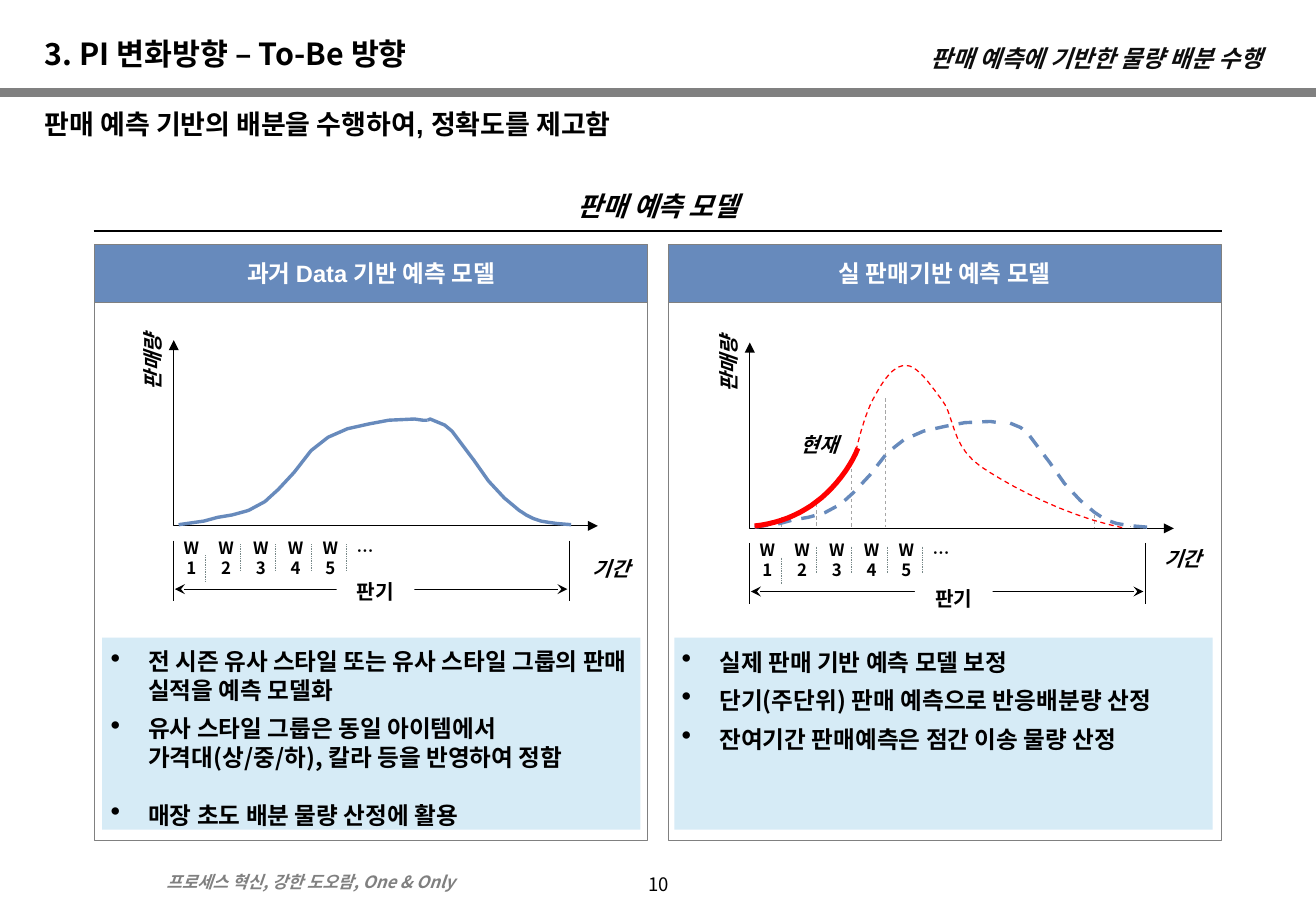
from lxml.etree import SubElement
from pptx import Presentation
from pptx.dml.color import RGBColor
from pptx.enum.dml import MSO_LINE
from pptx.enum.shapes import MSO_CONNECTOR, MSO_SHAPE
from pptx.enum.text import MSO_ANCHOR, PP_ALIGN
from pptx.oxml.ns import qn
from pptx.util import Inches, Pt

NOTO = "Noto Sans CJK KR"
HEX = {"black": "000000", "white": "FFFFFF", "gray": "808080", "blue": "678ABC",
       "pale": "D6EBF6", "red": "FF0000", "guide": "A6A6A6", "slate": "778888",
       "ink": "0D0D0D"}
LEFT, MID, RIGHT = PP_ALIGN.LEFT, PP_ALIGN.CENTER, PP_ALIGN.RIGHT

# Curves: inches right of and above the corner of the axes
RISE = [(.04, .01), (.25, .04), (.36, .07), (.48, .09), (.59, .12), (.62, .13),
        (.75, .2), (.86, .3), (.99, .44), (1.13, .62), (1.27, .73), (1.43, .8),
        (1.61, .84), (1.77, .87), (1.98, .88), (2.05, .87), (2.09, .87)]
FALL = [(3.27, .01), (3.15, .02), (3.08, .03), (3.02, .04), (2.96, .06),
        (2.9, .09), (2.84, .13), (2.72, .23), (2.59, .37), (2.47, .54),
        (2.41, .62), (2.35, .7), (2.29, .78), (2.23, .83), (2.11, .88), (2.09, .87)]
# Bezier points: a start, then two controls and an end for each part
ACTUAL = [(.04, .02), (.23, .04), (.41, .11), (.55, .22), (.69, .32), (.84, .52),
          (.89, .66)]
OUTLOOK = [(.86, .57), (.9, .76), (.96, .97), (1.03, 1.09), (1.1, 1.22),
           (1.19, 1.35), (1.29, 1.34), (1.38, 1.34), (1.48, 1.19), (1.58, 1.06),
           (1.69, .92), (1.65, .69), (1.9, .51), (2.15, .34), (2.63, .09), (3.09, 0)]
GUIDES = [(.26, .09), (.55, .2), (.84, .49), (1.12, 1.07), (2.84, .11), (3.13, .02)]


def color(name):
    return RGBColor.from_string(HEX[name])


def pen(shape, tint, width, dash=None, tip=None):
    shape.line.color.rgb = color(tint)
    shape.line.width = Pt(width)
    if dash:
        shape.line.dash_style = dash
    if tip:
        ln = shape._element.spPr.find(qn("a:ln"))
        for end in ("a:headEnd", "a:tailEnd"):
            SubElement(ln, qn(end), type=tip)


def style(par, size, tint="black", italic=False, face=NOTO, align=LEFT):
    par.alignment = align
    font = par.font
    font.size, font.bold, font.italic = Pt(size), True, italic
    font.color.rgb = color(tint)
    font.name = face
    SubElement(par._p.pPr.find(qn("a:defRPr")), qn("a:ea"), typeface=NOTO)


def inset(frame, side, top):
    frame.margin_left = frame.margin_right = Inches(side)
    frame.margin_top = frame.margin_bottom = Inches(top)


def label(slide, text, box, size, pad=(.05, .05), wrap=False,
          anchor=MSO_ANCHOR.TOP, **look):
    shape = slide.shapes.add_textbox(*map(Inches, box))
    frame = shape.text_frame
    frame.word_wrap = wrap
    frame.vertical_anchor = anchor
    inset(frame, *pad)
    frame.text = text
    for par in frame.paragraphs:
        style(par, size, **look)
    return shape


def block(slide, box, fill=None, edge=None, text="", size=14, **look):
    shape = slide.shapes.add_shape(MSO_SHAPE.RECTANGLE, *map(Inches, box))
    shape.shadow.inherit = False
    if fill:
        shape.fill.solid()
        shape.fill.fore_color.rgb = color(fill)
    else:
        shape.fill.background()
    if edge:
        pen(shape, edge, .5)
    else:
        shape.line.fill.background()
    if text:
        frame = shape.text_frame
        frame.vertical_anchor = MSO_ANCHOR.MIDDLE
        inset(frame, .05, 0)
        frame.text = text
        style(frame.paragraphs[0], size, align=MID, **look)


def rule(slide, x1, y1, x2, y2, *ink):
    line = slide.shapes.add_connector(
        MSO_CONNECTOR.STRAIGHT, *map(Inches, (x1, y1, x2, y2)))
    SubElement(line._element.spPr, qn("a:effectLst"))
    pen(line, *ink)


def trace(slide, x, y, points, *ink):
    # Draw an open outline whose points are measured from the corner (x, y)
    spots = [(1000 * a, -1000 * b) for a, b in points]
    path = slide.shapes.build_freeform(*spots[0], scale=Inches(1) / 1000)
    path.add_line_segments(spots[1:], close=False)
    shape = path.convert_to_shape(Inches(x), Inches(y))
    shape.fill.background()
    shape.shadow.inherit = False
    pen(shape, *ink)


def bend(points, steps=10):
    # Turn a chain of cubic Bezier parts into short straight steps
    out = [points[0]]
    for i in range(0, len(points) - 1, 3):
        part = points[i:i + 4]
        for k in range(1, steps + 1):
            t = k / steps
            rate = ((1 - t) ** 3, 3 * t * (1 - t) ** 2, 3 * t * t * (1 - t), t ** 3)
            out.append(tuple(sum(r * p[n] for r, p in zip(rate, part))
                             for n in (0, 1)))
    return out


def bullets(slide, lines, x, y, high):
    shape = slide.shapes.add_textbox(*map(Inches, (x, y, 4.49, high)))
    frame = shape.text_frame
    frame.word_wrap = True
    inset(frame, .05, 0)
    frame.margin_right = 0
    frame.text = "\n".join(lines)
    for i, par in enumerate(frame.paragraphs):
        props = par._p.get_or_add_pPr()
        props.set("marL", str(Inches(.31)))
        props.set("indent", str(-Inches(.31)))
        SubElement(props, qn("a:buSzPct"), val="120000")
        SubElement(props, qn("a:buChar"), char="•")
        if i:
            par.space_before = Pt(6)
        style(par, 14)


def panel(slide, x, head):
    block(slide, (x, 2.36, 4.55, 4.56), edge="gray")
    block(slide, (x, 2.01, 4.55, .48), "blue", "gray", head, tint="white", face="Arial")


def plot(slide, x, y, dash=None):
    # Axes and sales curve
    trace(slide, x, y, [(0, 1.53), (0, 0), (3.49, 0)], "black", .5, None, "triangle")
    for half in (RISE, FALL):
        trace(slide, x, y, half, "blue", 2, dash)
    # Weeks
    for i in range(5):
        gap = x + .26 + .29 * i
        top = y + (.15 if i else .24)
        rule(slide, gap, top, gap, top + .22, "slate", .5, MSO_LINE.ROUND_DOT)
    for i, week in enumerate(["W\n1", "W\n2", "W\n3", "W\n4", "W\n5", "…"]):
        top = y + (.06 if week == "…" else .12)
        label(slide, week, (x + .03 + .286 * i, top, .23, .28), 10, (0, 0),
              anchor=MSO_ANCHOR.MIDDLE, align=MID)
    # Season span
    rule(slide, x + .01, y + .52, x + 3.24, y + .52, "black", .25, None, "stealth")
    for end in (x, x + 3.26):
        rule(slide, end, y + .12, end, y + .62, "black", .5)
    axis = label(slide, "판매량", (x - .53, y - 1.54, .8, .39), 12, italic=True,
                 align=MID)
    axis.rotation = 270


def main():
    deck = Presentation()
    deck.slide_width, deck.slide_height = Inches(10.83), Inches(7.5)
    slide = deck.slides.add_slide(deck.slide_layouts[5])

    # Header and footer
    title = slide.shapes.title
    title.left, title.top, title.width, title.height = map(
        Inches, (.27, .24, 6.2, .46))
    title.text_frame.text = "3. PI 변화방향 – To-Be 방향"
    title.text_frame.vertical_anchor = MSO_ANCHOR.TOP
    inset(title.text_frame, .1, .05)
    style(title.text_frame.paragraphs[0], 18)
    rule(slide, 0, .76, 10.83, .76, "gray", 5)
    label(slide, "판매 예측에 기반한 물량 배분 수행", (6.5, .32, 3.95, .31), 14, (.06, 0),
          True, MSO_ANCHOR.MIDDLE, tint="ink", italic=True, align=RIGHT)
    label(slide, "판매 예측 기반의 배분을 수행하여, 정확도를 제고함", (.27, .84, 10.26, .83),
          16, (.1, .05), True, face="Arial")
    label(slide, "프로세스 혁신, 강한 도오람, One & Only", (1.27, 7.13, 3.32, .27), 10,
          (.1, .05), True, tint="gray", italic=True)
    page = label(slide, "10", (4.92, 7.13, 1, .3), 11, anchor=MSO_ANCHOR.MIDDLE,
                 align=MID)
    page.text_frame.paragraphs[0].font.bold = False

    # Model heading and panels
    label(slide, "판매 예측 모델", (4.61, 1.51, 1.61, .37), 16, italic=True, align=MID)
    rule(slide, .77, 1.9, 10.06, 1.9, "black", 1.5)
    for x in (.84, 5.55):
        block(slide, (x, 5.25, 4.43, 1.58), "pale")
    panel(slide, .78, "과거 Data 기반 예측 모델")
    panel(slide, 5.5, "실 판매기반 예측 모델")

    # Model from past data
    plot(slide, 1.43, 4.33)
    block(slide, (2.77, 4.71, .64, .31), "white", text="판기", size=12)
    label(slide, "기간", (4.83, 4.53, .45, .25), 12, italic=True)
    bullets(slide, ["전 시즌 유사 스타일 또는 유사 스타일 그룹의 판매 실적을 예측 모델화",
                    "유사 스타일 그룹은 동일 아이템에서 가격대(상/중/하), 칼라 등을 반영하여 정함"],
            .86, 5.33, 1.03)
    bullets(slide, ["매장 초도 배분 물량 산정에 활용"], .86, 6.59, .24)

    # Model from actual sales
    x, y = 6.17, 4.35
    for gap, high in GUIDES:
        rule(slide, x + gap, y - high, x + gap, y - .01, "guide", .5, MSO_LINE.DASH)
    plot(slide, x, y, MSO_LINE.DASH)
    trace(slide, x, y, bend(ACTUAL), "red", 3)
    trace(slide, x, y, bend(OUTLOOK), "red", .75, MSO_LINE.DASH)
    block(slide, (7.53, 4.78, .64, .29), "white", text="판기", size=12)
    label(slide, "기간", (9.53, 4.45, .45, .25), 12, italic=True)
    label(slide, "현재", (6.54, 3.51, .45, .25), 12, italic=True)
    bullets(slide, ["실제 판매 기반 예측 모델 보정", "단기(주단위) 판매 예측으로 반응배분량 산정",
                    "잔여기간 판매예측은 점간 이송 물량 산정"], 5.56, 5.33, .88)

    deck.save("out.pptx")


if __name__ == "__main__":
    main()
